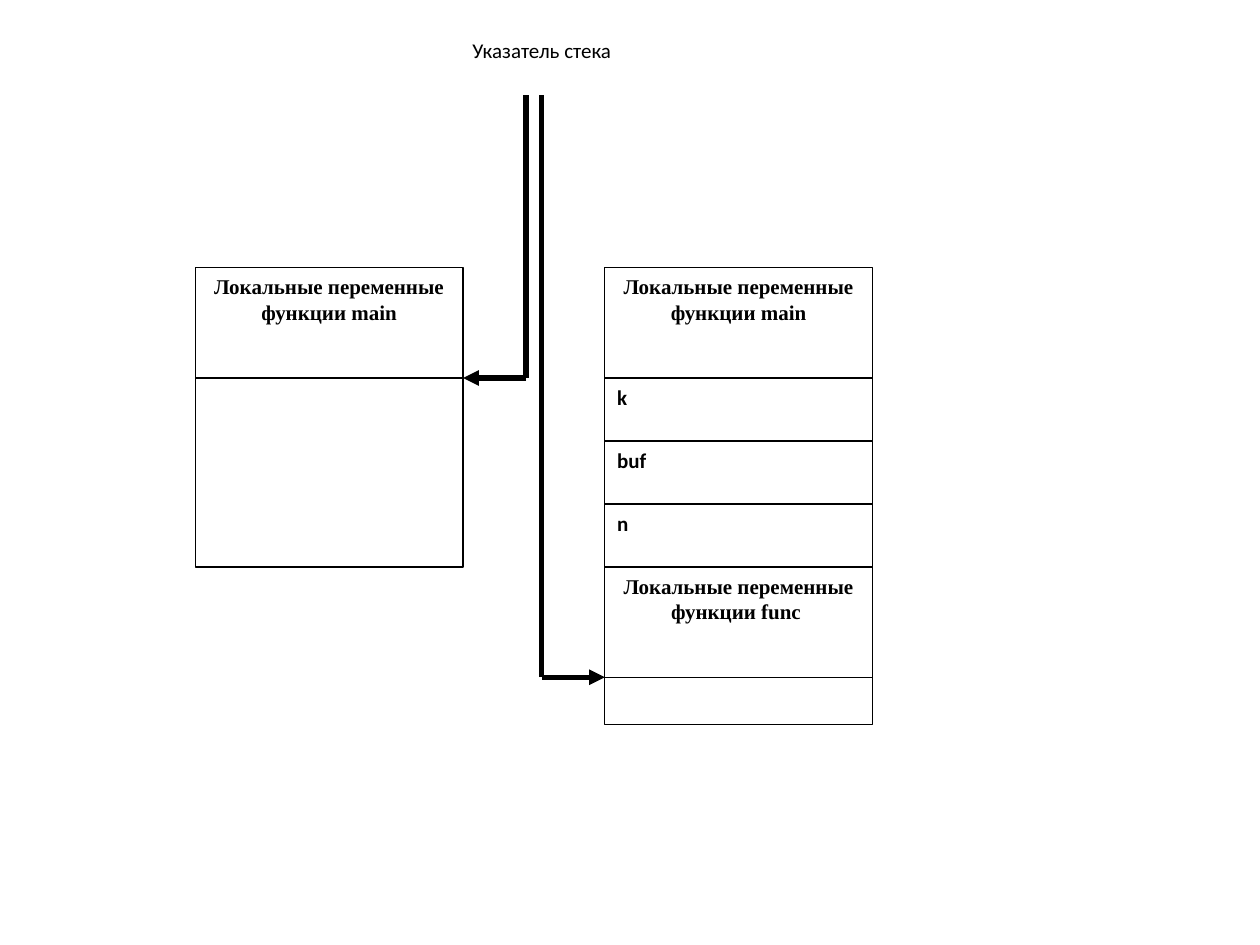
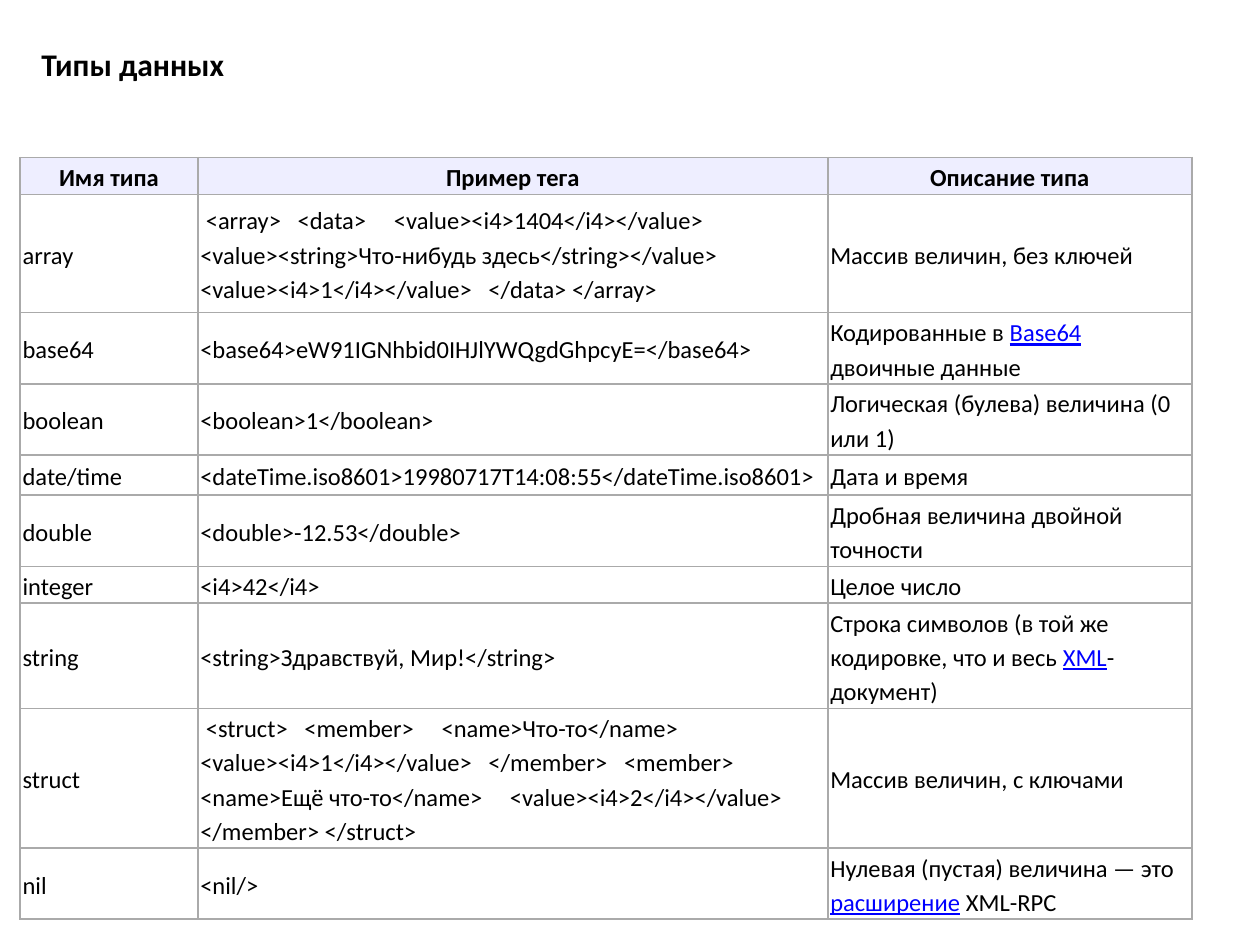
from dataclasses import dataclass
from typing import NamedTuple

from lxml import etree
from pptx import Presentation
from pptx.dml.color import RGBColor
from pptx.enum.shapes import MSO_AUTO_SHAPE_TYPE, MSO_CONNECTOR_TYPE
from pptx.enum.text import MSO_ANCHOR, MSO_AUTO_SIZE, PP_PARAGRAPH_ALIGNMENT
from pptx.oxml.ns import qn
from pptx.shapes.group import GroupShape
from pptx.slide import Slide
from pptx.table import _Cell
from pptx.text.text import _Paragraph
from pptx.util import Inches, Pt

RECTANGLE = MSO_AUTO_SHAPE_TYPE.RECTANGLE
STRAIGHT = MSO_CONNECTOR_TYPE.STRAIGHT
TOP, MIDDLE = MSO_ANCHOR.TOP, MSO_ANCHOR.MIDDLE
FIT_TEXT = MSO_AUTO_SIZE.SHAPE_TO_FIT_TEXT
LEFT, CENTER = PP_PARAGRAPH_ALIGNMENT.LEFT, PP_PARAGRAPH_ALIGNMENT.CENTER
BLANK_LAYOUT = 6


@dataclass(frozen=True)
class Theme:
    ink: str = "000000"
    paper: str = "FFFFFF"
    link: str = "0000FF"
    header: str = "EEEEFF"
    border: str = "AAAAAA"
    sans: str = "Calibri"
    serif: str = "Times New Roman"
    diagram_size: int = 12
    table_size: int = 14
    title_size: int = 18
    frame_width: float = 0.75
    pointer_width: float = 3
    border_width: float = 1


THEME = Theme()
SLIDE_WIDTH, SLIDE_HEIGHT = 10, 7.5
GRID_STEP = 0.125
GRID_LEFT = 1.55


class StackBox(NamedTuple):
    column: int
    row: int
    rows: int
    lines: tuple[str, ...] = ()
    columns: int = 17
    font: str = THEME.sans
    bold: bool = True
    align: PP_PARAGRAPH_ALIGNMENT = LEFT
    framed: bool = True


class Pointer(NamedTuple):
    column: int
    row: int
    target_column: int


class Piece(NamedTuple):
    text: str
    linked: bool = False


class TypeRow(NamedTuple):
    name: str
    sample: str
    description: tuple[Piece, ...]
    height: float


MAIN_COLUMN, CALL_COLUMN = 0, 26
STACK_ROW, MAIN_END, CALL_END = 17, 24, 43
POINTER_ROW = 6


def local_variables(column: int, row: int, function: str) -> StackBox:
    lines = ("Локальные переменные", f"функции {function}")
    return StackBox(column, row, 7, lines, font=THEME.serif, align=CENTER)


STACK_BOXES = [
    local_variables(MAIN_COLUMN, STACK_ROW, "main"),
    StackBox(MAIN_COLUMN, MAIN_END, 12),
    local_variables(CALL_COLUMN, STACK_ROW, "main"),
    StackBox(CALL_COLUMN, MAIN_END, 22),
    StackBox(15, 2, 3, ("Указатель стека",), columns=14, bold=False,
             align=CENTER, framed=False),
    *(StackBox(CALL_COLUMN, MAIN_END + 4 * index, 4, (name,))
      for index, name in enumerate(("k", "buf", "n"))),
    local_variables(CALL_COLUMN, 36, "func "),
]
POINTERS = [Pointer(21, MAIN_END, 17), Pointer(22, CALL_END, CALL_COLUMN)]

TABLE_HEADERS = ("Имя типа", "Пример тега", "Описание типа")
TABLE_COLUMNS = (0.141, 0.5, 0.289)
HEADER_HEIGHT = 0.28
TYPE_ROWS = [
    TypeRow("array", " <array>   <data>     <value><i4>1404</i4></value>     "
            "<value><string>Что-нибудь здесь</string></value>     "
            "<value><i4>1</i4></value>   </data> </array>",
            (Piece("Массив величин, без ключей"),), 0.94),
    TypeRow("base64", "<base64>eW91IGNhbid0IHJlYWQgdGhpcyE=</base64>",
            (Piece("Кодированные в "), Piece("Base64", True),
             Piece(" двоичные данные")), 0.56),
    TypeRow("boolean", "<boolean>1</boolean>",
            (Piece("Логическая (булева) величина (0 или 1)"),), 0.56),
    TypeRow("date/time", "<dateTime.iso8601>19980717T14:08:55</dateTime.iso8601>",
            (Piece("Дата и время"),), 0.32),
    TypeRow("double", "<double>-12.53</double>",
            (Piece("Дробная величина двойной точности"),), 0.56),
    TypeRow("integer", "<i4>42</i4>", (Piece("Целое число"),), 0.28),
    TypeRow("string", "<string>Здравствуй, Мир!</string>",
            (Piece("Строка символов (в той же кодировке, что и весь "),
             Piece("XML", True), Piece("-документ)")), 0.83),
    TypeRow("struct", " <struct>   <member>     <name>Что-то</name>     "
            "<value><i4>1</i4></value>   </member>   <member>     "
            "<name>Ещё что-то</name>     <value><i4>2</i4></value>   "
            "</member> </struct>",
            (Piece("Массив величин, с ключами"),), 1.1),
    TypeRow("nil", "<nil/>",
            (Piece("Нулевая (пустая) величина — это "),
             Piece("расширение", True), Piece(" XML-RPC")), 0.56),
]


def grid_x(column: int) -> int:
    return Inches(GRID_LEFT + column * GRID_STEP)


def grid_y(row: int) -> int:
    return Inches(row * GRID_STEP)


def share_x(share: float) -> int:
    return Inches(SLIDE_WIDTH * share)


def share_y(share: float) -> int:
    return Inches(SLIDE_HEIGHT * share)


def color(value: str) -> RGBColor:
    return RGBColor.from_string(value)


def add_span(para: _Paragraph, text: str, size: int, font: str = THEME.sans,
             bold: bool = False, linked: bool = False) -> None:
    span = para.add_run()
    span.text = text
    span.font.name = font
    span.font.size = Pt(size)
    span.font.bold = bold
    span.font.underline = linked
    span.font.color.rgb = color(THEME.link if linked else THEME.ink)


def draw_box(group: GroupShape, item: StackBox) -> None:
    box = group.shapes.add_shape(
        RECTANGLE, grid_x(item.column), grid_y(item.row),
        Inches(item.columns * GRID_STEP), Inches(item.rows * GRID_STEP))
    box.shadow.inherit = False
    box.fill.solid()
    box.fill.fore_color.rgb = color(THEME.paper)
    if item.framed:
        box.line.color.rgb = color(THEME.ink)
        box.line.width = Pt(THEME.frame_width)
    else:
        box.line.fill.background()
    frame = box.text_frame
    frame.word_wrap = True
    frame.vertical_anchor = TOP
    for index, text in enumerate(item.lines):
        para = frame.add_paragraph() if index else frame.paragraphs[0]
        para.alignment = item.align
        add_span(para, text, THEME.diagram_size, item.font, item.bold)


def draw_line(group: GroupShape, start: tuple[int, int], end: tuple[int, int],
              arrow: bool) -> None:
    line = group.shapes.add_connector(
        STRAIGHT, grid_x(start[0]), grid_y(start[1]), grid_x(end[0]), grid_y(end[1]))
    line.line.color.rgb = color(THEME.ink)
    line.line.width = Pt(THEME.pointer_width)
    if arrow:
        etree.SubElement(line.line._get_or_add_ln(), qn("a:tailEnd"), type="triangle")
    etree.SubElement(line._element.spPr, qn("a:effectLst"))


def draw_pointer(group: GroupShape, pointer: Pointer) -> None:
    corner = (pointer.column, pointer.row)
    draw_line(group, corner, (pointer.column, POINTER_ROW), False)
    draw_line(group, corner, (pointer.target_column, pointer.row), True)


def draw_borders(cell: _Cell) -> None:
    properties = cell._tc.get_or_add_tcPr()
    for side in ("lnL", "lnR", "lnT", "lnB"):
        border = etree.SubElement(properties, qn(f"a:{side}"),
                                  w=str(Pt(THEME.border_width)))
        fill = etree.SubElement(border, qn("a:solidFill"))
        etree.SubElement(fill, qn("a:srgbClr"), val=THEME.border)


def fill_cell(cell: _Cell, pieces: tuple[Piece, ...], header: bool,
              space_after: int) -> None:
    draw_borders(cell)
    cell.fill.solid()
    cell.fill.fore_color.rgb = color(THEME.header if header else THEME.paper)
    cell.vertical_anchor = MIDDLE
    cell.margin_left = cell.margin_right = Inches(0.02)
    cell.margin_top = cell.margin_bottom = Inches(0.01)
    para = cell.text_frame.paragraphs[0]
    para.alignment = CENTER if header else LEFT
    para.line_spacing = 1.15
    para.space_after = Pt(space_after)
    for piece in pieces:
        add_span(para, piece.text, THEME.table_size, bold=header, linked=piece.linked)


def draw_table(page: Slide) -> None:
    heights = [HEADER_HEIGHT, *(row.height for row in TYPE_ROWS)]
    table = page.shapes.add_table(
        len(heights), len(TABLE_COLUMNS), share_x(0.016), share_y(1 / 6),
        share_x(sum(TABLE_COLUMNS)), Inches(sum(heights))).table
    table.first_row = table.horz_banding = False
    for column, share in zip(table.columns, TABLE_COLUMNS):
        column.width = share_x(share)
    for row, height in zip(table.rows, heights):
        row.height = Inches(height)
    contents = [tuple((Piece(text),) for text in TABLE_HEADERS)]
    contents += [((Piece(row.name),), (Piece(row.sample),), row.description)
                 for row in TYPE_ROWS]
    for row_index, row in enumerate(contents):
        header = row_index == 0
        for column_index, pieces in enumerate(row):
            space_after = 0 if column_index == 1 and not header else 10
            fill_cell(table.cell(row_index, column_index), pieces, header, space_after)


def draw_title(page: Slide, text: str) -> None:
    box = page.shapes.add_textbox(share_x(0.023), share_y(0.041),
                                  share_x(0.167), share_y(0.054))
    box.text_frame.word_wrap = False
    box.text_frame.auto_size = FIT_TEXT
    add_span(box.text_frame.paragraphs[0], text, THEME.title_size, bold=True)


def build_stack_page(page: Slide) -> None:
    group = page.shapes.add_group_shape()
    for item in STACK_BOXES:
        draw_box(group, item)
    for pointer in POINTERS:
        draw_pointer(group, pointer)


def build_types_page(page: Slide) -> None:
    draw_table(page)
    draw_title(page, "Типы данных")


def main() -> None:
    deck = Presentation()
    deck.slide_width = Inches(SLIDE_WIDTH)
    deck.slide_height = Inches(SLIDE_HEIGHT)
    for build_page in (build_stack_page, build_types_page):
        build_page(deck.slides.add_slide(deck.slide_layouts[BLANK_LAYOUT]))
    deck.save("out.pptx")


if __name__ == "__main__":
    main()
